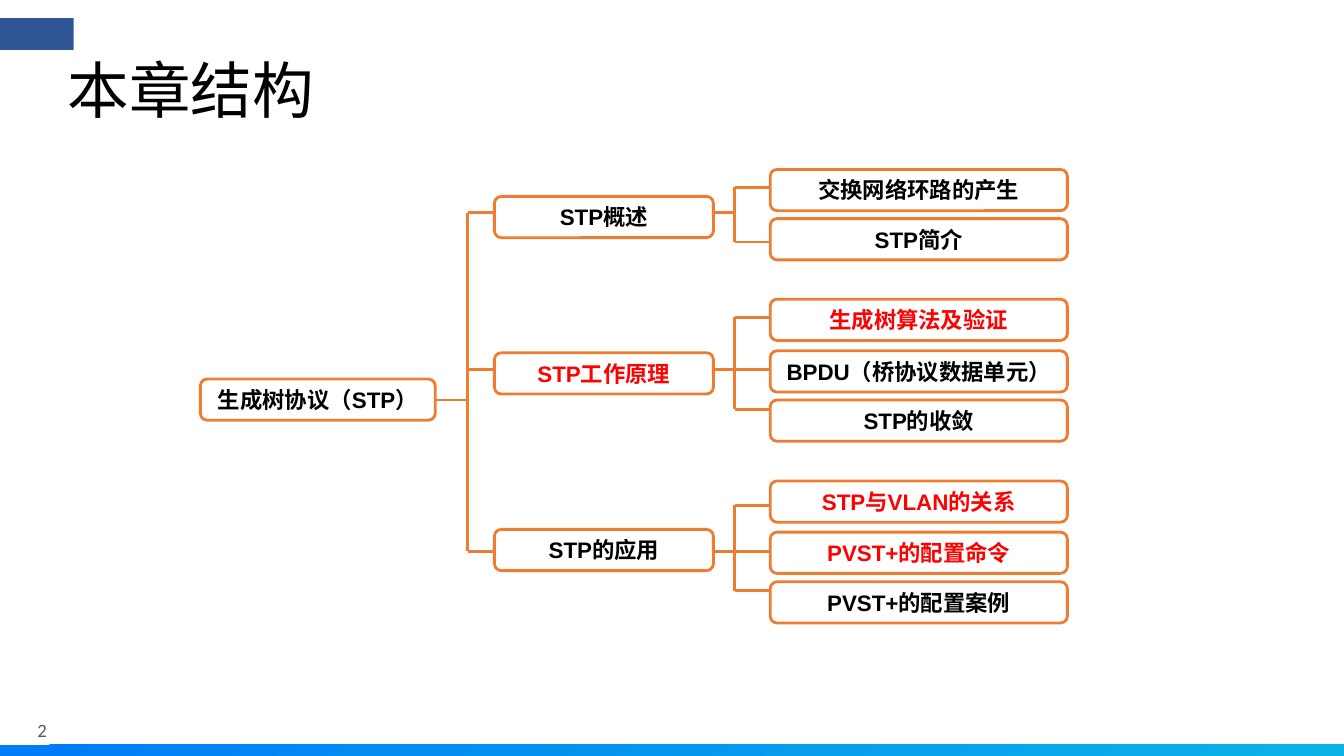
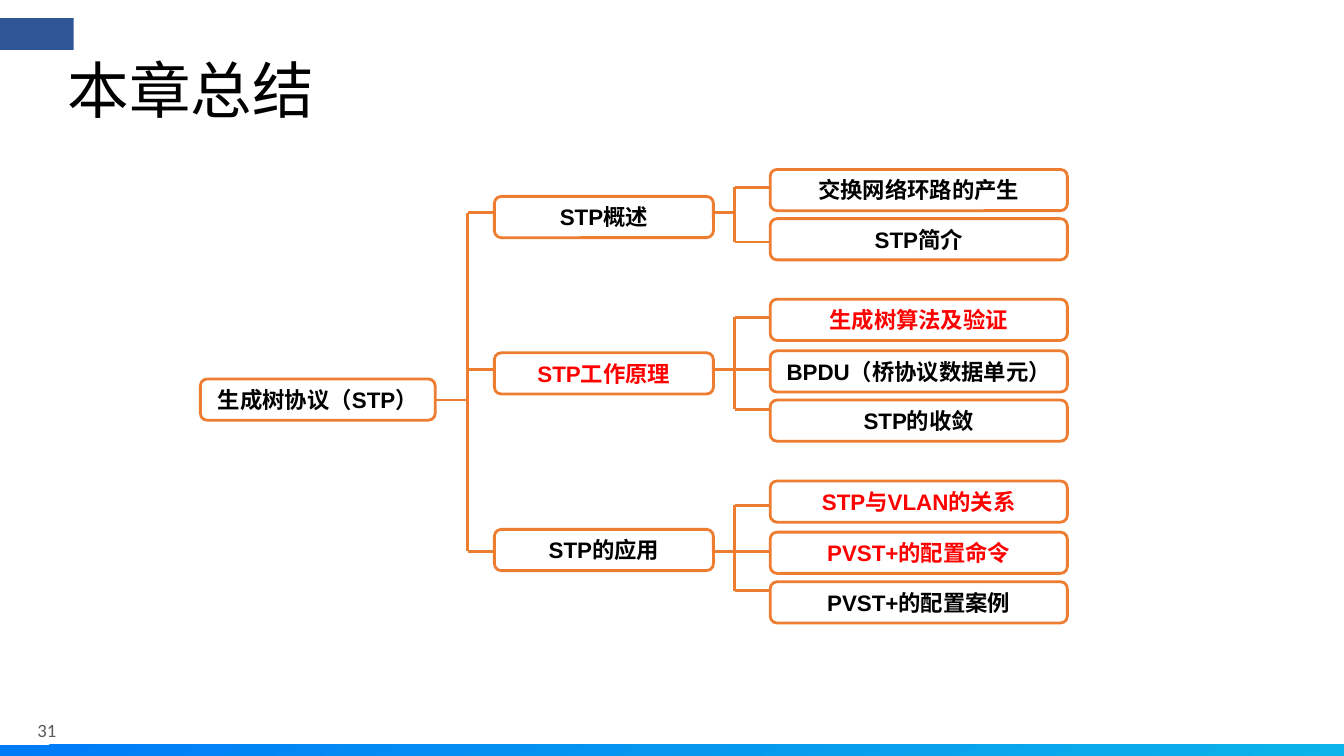
import pptx
import pptx.dml.color
import pptx.enum.shapes
import pptx.enum.text
import pptx.oxml
import pptx.util

Cm = pptx.util.Cm
Pt = pptx.util.Pt
RGBColor = pptx.dml.color.RGBColor
SHAPE = pptx.enum.shapes.MSO_SHAPE
ALIGN = pptx.enum.text.PP_ALIGN
ANCHOR = pptx.enum.text.MSO_ANCHOR

BLACK = RGBColor(0x00, 0x00, 0x00)
WHITE = RGBColor(0xFF, 0xFF, 0xFF)
RED = RGBColor(0xFF, 0x00, 0x00)
ORANGE = RGBColor(0xED, 0x7D, 0x31)
NAVY = RGBColor(0x2F, 0x55, 0x97)
GRAY = RGBColor(0x5A, 0x5A, 0x5A)
BAND_START = RGBColor(0x00, 0x7B, 0xF7)
BAND_END = RGBColor(0x0B, 0xB3, 0xE8)

PAGES = [("本章结构", "2"), ("本章总结", "31")]

ROOT = {"label": "生成树协议（STP）", "color": BLACK, "top": 9.55, "wire": 10.08}
BRANCHES = [
    {"label": "STP概述", "color": BLACK, "top": 4.95, "wire": 5.36, "leaves": [
        {"label": "交换网络环路的产生", "color": BLACK, "top": 4.27, "wire": 4.72},
        {"label": "STP简介", "color": BLACK, "top": 5.51, "wire": 6.1},
    ]},
    {"label": "STP工作原理", "color": RED, "top": 8.89, "wire": 9.32, "leaves": [
        {"label": "生成树算法及验证", "color": RED, "top": 7.54, "wire": 8},
        {"label": "BPDU（桥协议数据单元）", "color": BLACK, "top": 8.84, "wire": 9.32},
        {"label": "STP的收敛", "color": BLACK, "top": 10.08, "wire": 10.31},
    ]},
    {"label": "STP的应用", "color": BLACK, "top": 13.34, "wire": 13.89, "leaves": [
        {"label": "STP与VLAN的关系", "color": RED, "top": 12.12, "wire": 12.73},
        {"label": "PVST+的配置命令", "color": RED, "top": 13.41, "wire": 13.89},
        {"label": "PVST+的配置案例", "color": BLACK, "top": 14.66, "wire": 14.88},
    ]},
]

ROOT_COLUMN = (5.05, 5.92)
BRANCH_COLUMN = (12.46, 5.52)
LEAF_COLUMN = (19.41, 7.49)
ROOT_SPINE = 11.79
LEAF_SPINE = 18.52
NODE_HEIGHT = 1.04

TITLE_FONT = {"name": "Arial", "size": Pt(44)}
NODE_FONT = {"name": "Arial", "size": Pt(16), "bold": True}
NUMBER_FONT = {"name": "Calibri", "size": Pt(13.4)}
NO_INSETS = {"margin_left": 0, "margin_right": 0, "margin_top": 0, "margin_bottom": 0}


def set_all(target, values):
    for name, value in values.items():
        setattr(target, name, value)


def write(box, text, font, color, align=ALIGN.LEFT, spacing=1.0, insets=None):
    frame = box.text_frame
    set_all(frame, {"word_wrap": True, "vertical_anchor": ANCHOR.MIDDLE, **(insets or {})})
    para = frame.paragraphs[0]
    set_all(para, {"alignment": align, "line_spacing": spacing})
    span = para.add_run()
    span.text = text
    set_all(span.font, font)
    span.font.color.rgb = color


def add_box(page, kind, left, top, width, height, fill=None):
    box = page.shapes.add_shape(kind, Cm(left), Cm(top), Cm(width), Cm(height))
    box.shadow.inherit = False
    box.line.fill.background()
    if fill is not None:
        box.fill.solid()
        box.fill.fore_color.rgb = fill
    return box


def add_label(page, left, top, width, height, text, font, color, spacing=1.0):
    box = page.shapes.add_textbox(Cm(left), Cm(top), Cm(width), Cm(height))
    write(box, text, font, color, spacing=spacing, insets=NO_INSETS)


def add_wire(page, x1, y1, x2, y2):
    wire = page.shapes.add_connector(
        pptx.enum.shapes.MSO_CONNECTOR.STRAIGHT, Cm(x1), Cm(y1), Cm(x2), Cm(y2))
    wire.line.color.rgb = ORANGE
    wire.line.width = Pt(2)
    properties = wire._element.spPr
    properties.append(pptx.oxml.parse_xml(
        '<a:effectLst xmlns:a="http://schemas.openxmlformats.org/drawingml/2006/main"/>'))


def add_node(page, node, column):
    left, width = column
    box = add_box(page, SHAPE.ROUNDED_RECTANGLE, left, node["top"], width, NODE_HEIGHT, WHITE)
    box.line.color.rgb = ORANGE
    box.line.width = Pt(2)
    write(box, node["label"], NODE_FONT, node["color"], ALIGN.CENTER)


def add_spine(page, x, start, parent, children, child_left):
    add_wire(page, start, parent["wire"], x, parent["wire"])
    add_wire(page, x, children[0]["wire"], x, children[-1]["wire"])
    for child in children:
        add_wire(page, x, child["wire"], child_left, child["wire"])


def add_tree(page):
    add_spine(page, ROOT_SPINE, sum(ROOT_COLUMN), ROOT, BRANCHES, BRANCH_COLUMN[0])
    add_node(page, ROOT, ROOT_COLUMN)
    for branch in BRANCHES:
        leaves = branch["leaves"]
        add_spine(page, LEAF_SPINE, sum(BRANCH_COLUMN), branch, leaves, LEAF_COLUMN[0])
        add_node(page, branch, BRANCH_COLUMN)
        for leaf in leaves:
            add_node(page, leaf, LEAF_COLUMN)


def add_frame(page, title, number):
    band = add_box(page, SHAPE.RECTANGLE, 0, 18.77, 33.87, 0.33)
    band.fill.gradient()
    band.fill.gradient_angle = 300
    for stop, color in zip(band.fill.gradient_stops, (BAND_START, BAND_END)):
        stop.color.rgb = color
    add_label(page, 0.94, 18.11, 1.88, 0.56, number, NUMBER_FONT, GRAY)
    add_box(page, SHAPE.RECTANGLE, 0, 0.46, 1.86, 0.8, NAVY)
    add_label(page, 1.7, 0.76, 30.48, 3.18, title, TITLE_FONT, BLACK, 0.9)


def main():
    deck = pptx.Presentation()
    set_all(deck, {"slide_width": Cm(33.87), "slide_height": Cm(19.05)})
    for title, number in PAGES:
        page = deck.slides.add_slide(deck.slide_layouts[6])
        add_frame(page, title, number)
        add_tree(page)
    deck.save("out.pptx")


if __name__ == "__main__":
    main()
